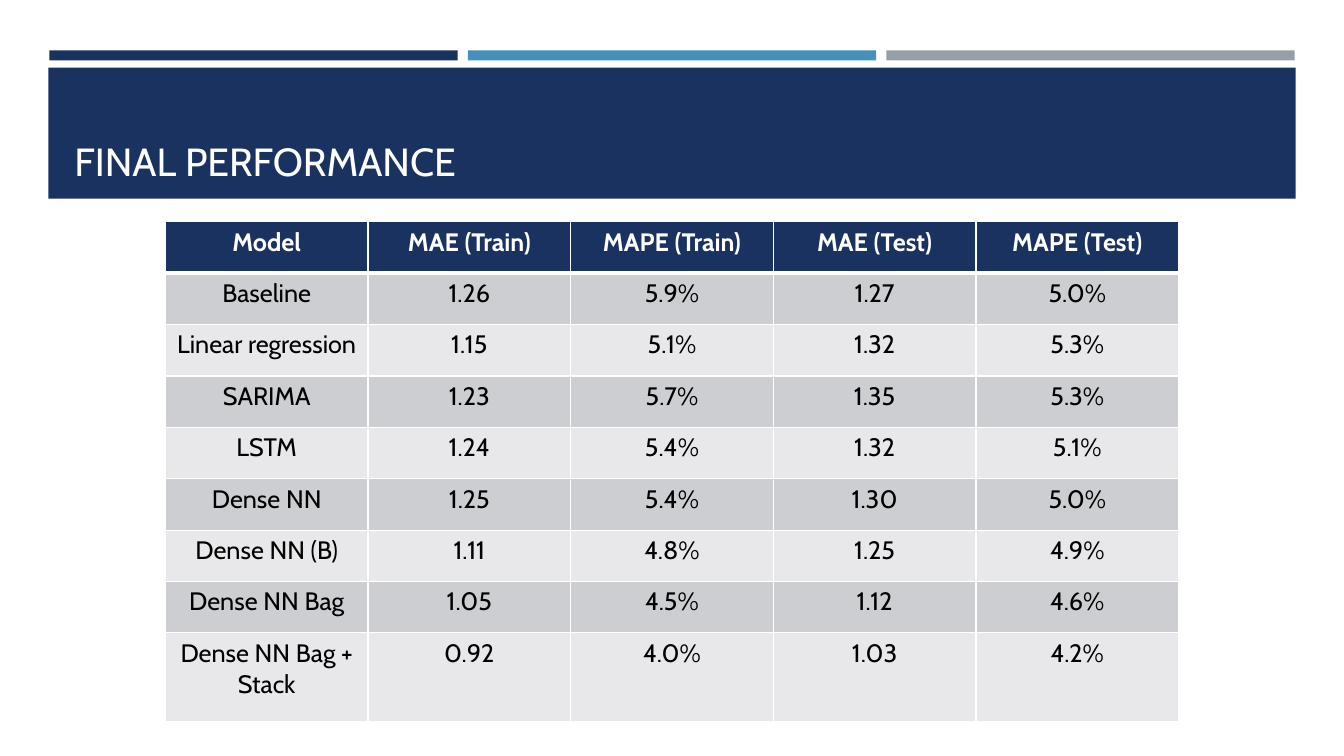
from lxml.etree import SubElement
from pptx import Presentation
from pptx.dml.color import RGBColor
from pptx.enum.shapes import MSO_SHAPE
from pptx.enum.text import MSO_ANCHOR, PP_ALIGN
from pptx.oxml.ns import qn
from pptx.util import Inches, Pt

# Content
TITLE = "FINAL PERFORMANCE"
HEADER = ("Model", "MAE (Train)", "MAPE (Train)", "MAE (Test)", "MAPE (Test)")
RESULTS = [
    ("Baseline", "1.26", "5.9%", "1.27", "5.0%"),
    ("Linear regression", "1.15", "5.1%", "1.32", "5.3%"),
    ("SARIMA", "1.23", "5.7%", "1.35", "5.3%"),
    ("LSTM", "1.24", "5.4%", "1.32", "5.1%"),
    ("Dense NN", "1.25", "5.4%", "1.30", "5.0%"),
    ("Dense NN (B)", "1.11", "4.8%", "1.25", "4.9%"),
    ("Dense NN Bag", "1.05", "4.5%", "1.12", "4.6%"),
    ("Dense NN Bag + Stack", "0.92", "4.0%", "1.03", "4.2%"),
]

# Style and grid, in inches
FONT = "Cabin"
COLORS = {
    "navy": "1A3260", "blue": "4590B8", "gray": "969FA7",
    "white": "FFFFFF", "black": "000000",
    "dark band": "CDCED2", "light band": "E8E8EA",
}
WIDTH, HEIGHT = 13.33, 7.5
MARGIN, BAR_WIDTH, BAR_GAP = 0.49, 4.05, 0.1
TABLE_LEFT, TABLE_TOP = 1.64, 2.2
COLUMN_WIDTH, ROW_HEIGHT, LAST_ROW_HEIGHT = 2.01, 0.51, 0.88


def color(name):
    return RGBColor.from_string(COLORS[name])


def write(frame, text, size, fill, bold=False, align=PP_ALIGN.LEFT):
    para = frame.paragraphs[0]
    para.alignment = align
    span = para.add_run()
    span.text = text
    span.font.name, span.font.size, span.font.bold = FONT, Pt(size), bold
    span.font.color.rgb = color(fill)


def add_bar(page, left, top, width, height, fill):
    bar = page.shapes.add_shape(MSO_SHAPE.RECTANGLE, Inches(left), Inches(top),
                                Inches(width), Inches(height))
    bar.shadow.inherit = False
    bar.fill.solid()
    bar.fill.fore_color.rgb = color(fill)
    bar.line.fill.background()


def add_borders(cell, **points):
    properties = cell._tc.get_or_add_tcPr()
    for side in "LRTB":
        line = SubElement(properties, qn(f"a:ln{side}"), w=str(Pt(points.get(side, 1))))
        solid = SubElement(line, qn("a:solidFill"))
        SubElement(solid, qn("a:srgbClr"), val=COLORS["white"])


deck = Presentation()
deck.slide_width, deck.slide_height = Inches(WIDTH), Inches(HEIGHT)
page = deck.slides.add_slide(deck.slide_layouts[6])

# Accent bars and title band
for index, fill in enumerate(("navy", "blue", "gray")):
    add_bar(page, MARGIN + index * (BAR_WIDTH + BAR_GAP), 0.5, BAR_WIDTH, 0.1, fill)
add_bar(page, 0.48, 0.67, 12.37, 1.3, "navy")

# Title
box = page.shapes.add_textbox(Inches(0.64), Inches(0.77), Inches(12.06), Inches(1.11))
box.text_frame.word_wrap = True
box.text_frame.vertical_anchor = MSO_ANCHOR.BOTTOM
write(box.text_frame, TITLE, 28, "white")

# Results table
rows = [HEADER] + RESULTS
heights = [ROW_HEIGHT] * len(RESULTS) + [LAST_ROW_HEIGHT]
table = page.shapes.add_table(
    len(rows), len(HEADER), Inches(TABLE_LEFT), Inches(TABLE_TOP),
    Inches(COLUMN_WIDTH * len(HEADER)), Inches(sum(heights))).table
for column in table.columns:
    column.width = Inches(COLUMN_WIDTH)
for row, (values, height) in enumerate(zip(rows, heights)):
    table.rows[row].height = Inches(height)
    is_header = row == 0
    band = "navy" if is_header else "dark band" if row % 2 else "light band"
    for column, value in enumerate(values):
        cell = table.cell(row, column)
        add_borders(cell, T=3 if row == 1 else 1, B=3 if is_header else 1)
        cell.fill.solid()
        cell.fill.fore_color.rgb = color(band)
        write(cell.text_frame, value, 18, "white" if is_header else "black",
              bold=is_header, align=PP_ALIGN.CENTER)

deck.save("out.pptx")
